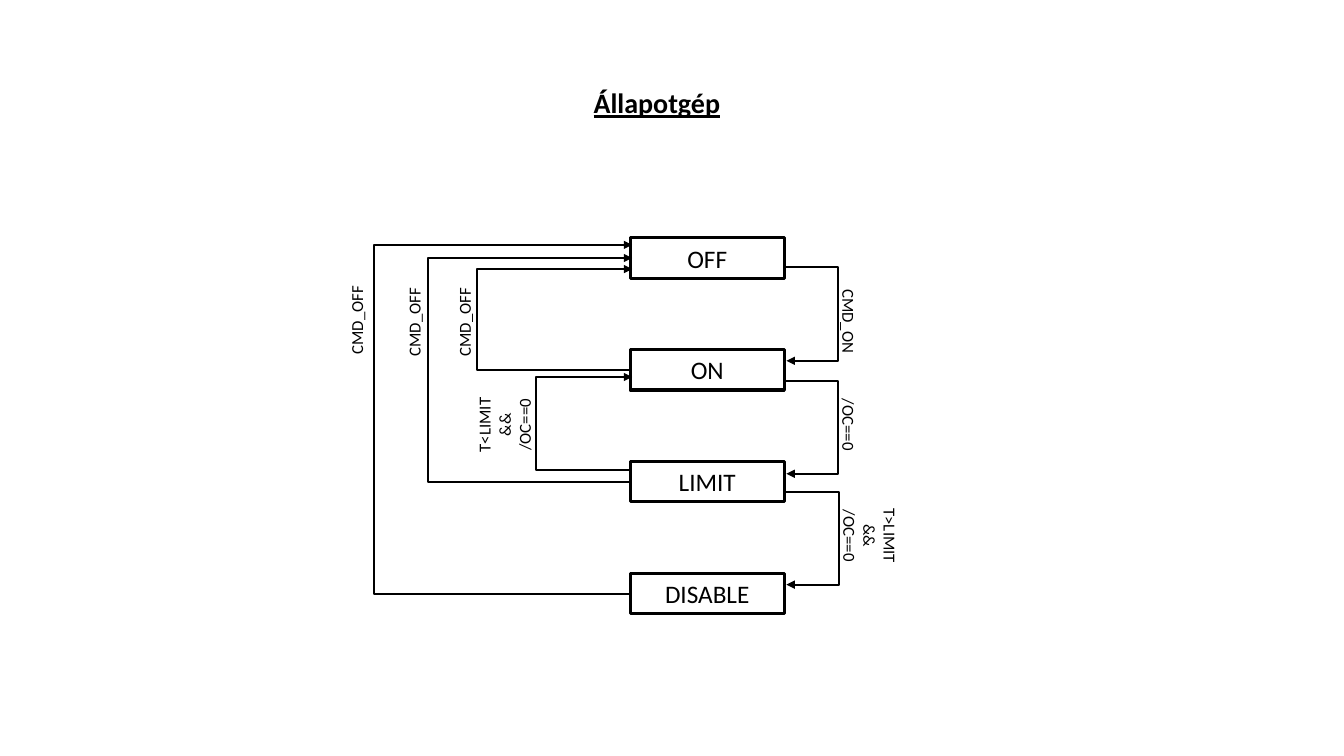
from lxml import etree
from pptx import Presentation
from pptx import util as u
from pptx.dml.color import RGBColor
from pptx.enum import shapes, text
from pptx.oxml.ns import qn

BLACK = RGBColor(0, 0, 0)
WHITE = RGBColor(255, 255, 255)
FONT = "Calibri"

STATES = ["OFF", "ON", "LIMIT", "DISABLE"]
LEFT, TOP, WIDTH, HEIGHT, PITCH = 6.25, 2.36, 1.53, 0.4, 1.11
RIGHT = LEFT + WIDTH
TIP = 0.02
LABEL_HEIGHT = 0.3

RETURNS = [
    (3.67, 4.74, 2.67),
    (4.78, 4.25, 2.56),
    (5.89, 3.72, 2.43),
    (4.66, 5.32, 3.74),
]
RETURN_LABELS = [
    (4.16, 3.04, 0.89, LABEL_HEIGHT, ["CMD_OFF"]),
    (3.66, 3.04, 0.89, LABEL_HEIGHT, ["CMD_OFF"]),
    (3.09, 3.02, 0.89, LABEL_HEIGHT, ["CMD_OFF"]),
    (4.63, 3.86, 0.75, 0.71, ["T<LIMIT", "&&", "/OC==0"]),
]
ADVANCES = [
    (2.65, 8.31, 3.58),
    (3.78, 8.31, 4.7),
    (4.88, 8.32, 5.8),
]
ADVANCE_LABELS = [
    (8, 3.04, 0.84, LABEL_HEIGHT, ["CMD_ON"]),
    (8.06, 4.07, 0.72, LABEL_HEIGHT, ["/OC==0"]),
    (8.25, 4.96, 0.75, 0.71, ["T>LIMIT", "&&", "/OC==0"]),
]


def write(sp, lines, size, centred=True, wrap=True, bold=False, underline=False):
    tf = sp.text_frame
    tf.word_wrap = wrap
    tf.text = "\n".join(lines)
    for p in tf.paragraphs:
        p.alignment = text.PP_ALIGN.CENTER if centred else text.PP_ALIGN.LEFT
        for r in p.runs:
            r.font.name = FONT
            r.font.size = u.Pt(size)
            r.font.color.rgb = BLACK
            r.font.bold = bold
            r.font.underline = underline


def add_title(s, left, top, width, height):
    sp = s.shapes.add_textbox(*map(u.Inches, (left, top, width, height)))
    write(sp, ["Állapotgép"], 20, bold=True, underline=True)


def add_states(s, left, top, width, height):
    for row, name in enumerate(STATES):
        box = (left, top + row * PITCH, width, height)
        sp = s.shapes.add_shape(shapes.MSO_SHAPE.RECTANGLE, *map(u.Inches, box))
        sp.shadow.inherit = False
        sp.fill.solid()
        sp.fill.fore_color.rgb = WHITE
        sp.line.color.rgb = BLACK
        sp.line.width = u.Pt(2.25)
        write(sp, [name], 18)
        sp.text_frame.vertical_anchor = text.MSO_ANCHOR.MIDDLE


def add_transition(s, side, start, bend, end):
    points = (side, start, side + TIP, end)
    c = s.shapes.add_connector(shapes.MSO_CONNECTOR.ELBOW, *map(u.Inches, points))
    c.line.color.rgb = BLACK
    c.line.width = u.Pt(1.5)
    guides = c._element.spPr.find(qn("a:prstGeom")).get_or_add_avLst()
    adjust = round((bend - side) / TIP * 100000)
    etree.SubElement(guides, qn("a:gd"), name="adj1", fmla=f"val {adjust}")
    ln = c.line._get_or_add_ln()
    etree.SubElement(ln, qn("a:tailEnd"), type="triangle")
    etree.SubElement(c._element.spPr, qn("a:effectLst"))


def add_transitions(s, side, routes, labels, rotation):
    for route in routes:
        add_transition(s, side, *route)
    for left, top, width, height, lines in labels:
        sp = s.shapes.add_textbox(*map(u.Inches, (left, top, width, height)))
        sp.rotation = rotation
        write(sp, lines, 12, centred=len(lines) > 1, wrap=False)


def main():
    prs = Presentation()
    prs.slide_width, prs.slide_height = u.Inches(13.33), u.Inches(7.5)
    s = prs.slides.add_slide(prs.slide_layouts[6])
    add_states(s, LEFT, TOP, WIDTH, HEIGHT)
    add_transitions(s, LEFT, RETURNS, RETURN_LABELS, 270)
    add_transitions(s, RIGHT, ADVANCES, ADVANCE_LABELS, 90)
    add_title(s, 5.36, 0.8, 2.31, 0.44)
    prs.save("out.pptx")


if __name__ == "__main__":
    main()
